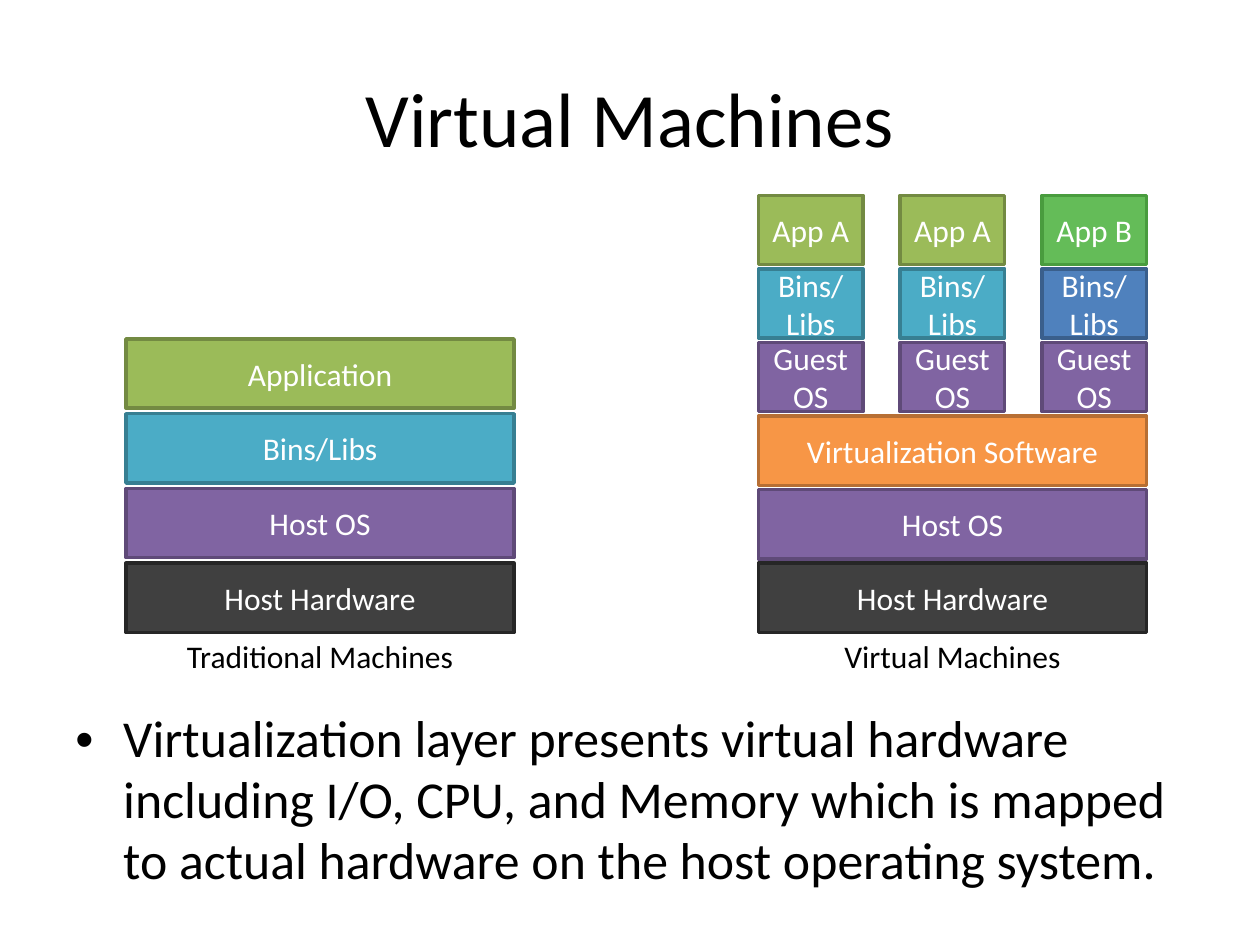
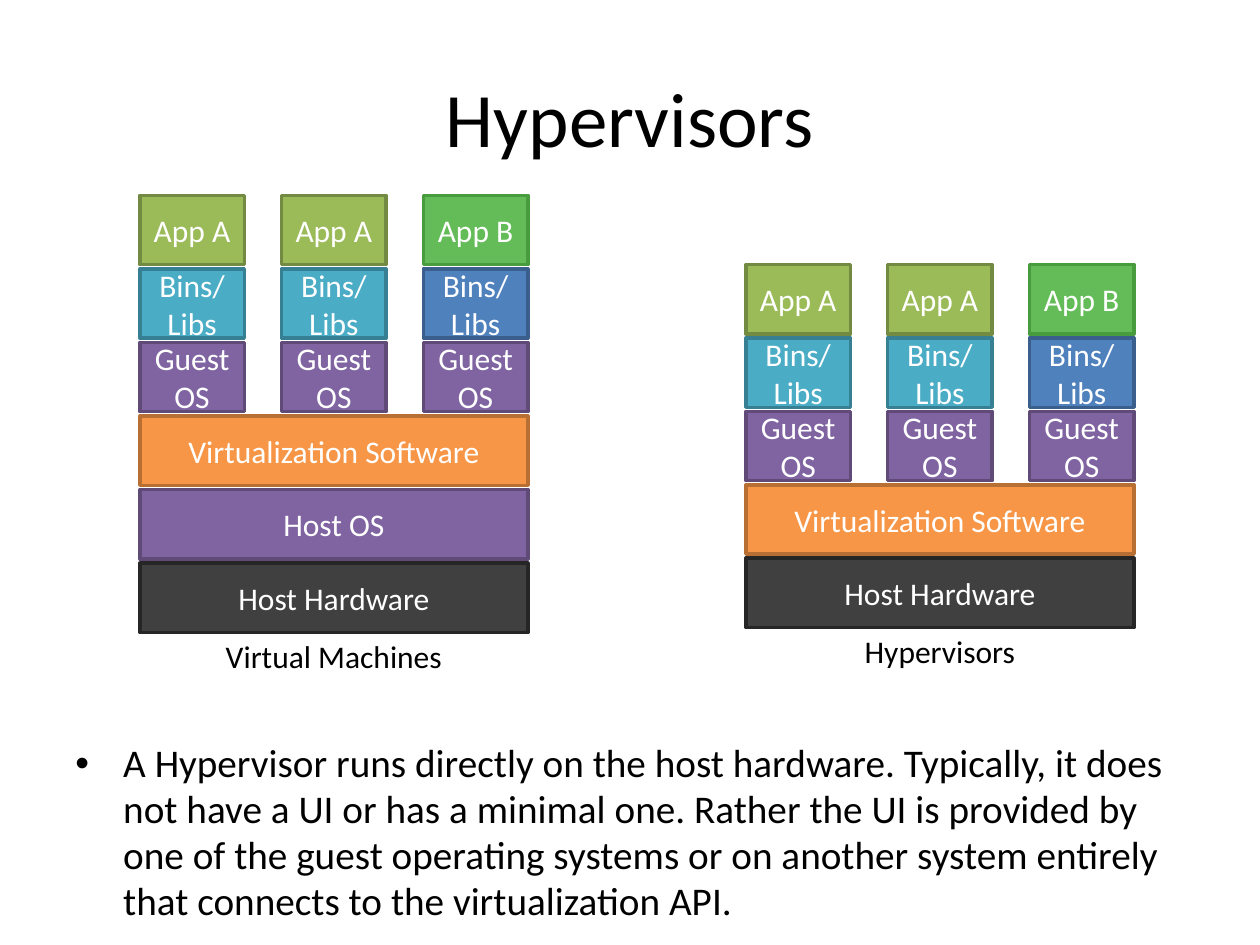
from dataclasses import dataclass

from lxml import etree
from pptx import Presentation
from pptx.dml.color import RGBColor
from pptx.enum.shapes import MSO_SHAPE
from pptx.enum.text import MSO_ANCHOR, PP_ALIGN
from pptx.oxml.ns import qn
from pptx.util import Inches, Pt

RECTANGLE = MSO_SHAPE.RECTANGLE
TOP, MIDDLE = MSO_ANCHOR.TOP, MSO_ANCHOR.MIDDLE
LEFT, CENTER = PP_ALIGN.LEFT, PP_ALIGN.CENTER

FONT = "Calibri"
BLACK, WHITE = "000000", "FFFFFF"
STACK_WIDTH, GUEST_WIDTH, BLOCK_HEIGHT = 3.08, 0.83, 0.55
BULLET_INDENT = 0.38


@dataclass(frozen=True)
class Block:
    text: str
    fill: str
    line: str


@dataclass(frozen=True)
class Stack:
    caption: str
    caption_width: float
    left: float
    top: float
    base: float  # top edge of the lowest row
    rows: tuple[tuple[Block, ...], ...]


@dataclass(frozen=True)
class Page:
    title: str
    stacks: tuple[Stack, ...]
    bullet: str
    bullet_top: float
    bullet_height: float
    bullet_size: float


# Layers of the machine diagrams
GREEN = ("9BBB59", "738A42")
TEAL = ("4BACC6", "377F92")
PURPLE = ("8064A2", "5F4A78")

HARDWARE = Block("Host Hardware", "404040", "262626")
HOST_OS = Block("Host OS", *PURPLE)
VIRTUALIZATION = Block("Virtualization Software", "F79646", "B76F34")
APPLICATION = Block("Application", *GREEN)
SHARED_LIBS = Block("Bins/Libs", *TEAL)
APP_A = Block("App A", *GREEN)
APP_B = Block("App B", "64BC58", "499C3E")
LIBS_A = Block("Bins/ Libs", *TEAL)
LIBS_B = Block("Bins/ Libs", "4F81BD", "3A5F8C")
GUEST_OS = Block("Guest OS", *PURPLE)

GUEST_ROWS = (
    (APP_A, APP_A, APP_B),
    (LIBS_A, LIBS_A, LIBS_B),
    (GUEST_OS,) * 3,
    (VIRTUALIZATION,),
)
TRADITIONAL_ROWS = ((APPLICATION,), (SHARED_LIBS,), (HOST_OS,), (HARDWARE,))
VIRTUAL_ROWS = GUEST_ROWS + ((HOST_OS,), (HARDWARE,))
HYPERVISOR_ROWS = GUEST_ROWS + ((HARDWARE,),)

PAGES = (
    Page(
        "Virtual Machines",
        (
            Stack("Traditional Machines", 2.33, 1, 2.69, 4.47, TRADITIONAL_ROWS),
            Stack("Virtual Machines", 1.96, 6.02, 1.55, 4.47, VIRTUAL_ROWS),
        ),
        "Virtualization layer presents virtual hardware including I/O, CPU, and "
        "Memory which is mapped to actual hardware on the host operating system.",
        5.58, 1.39, 29.6,
    ),
    Page(
        "Hypervisors",
        (
            Stack("Virtual Machines", 1.96, 1.11, 1.55, 4.47, VIRTUAL_ROWS),
            Stack("Hypervisors", 1.96, 5.92, 2.1, 4.43, HYPERVISOR_ROWS),
        ),
        "A Hypervisor runs directly on the host hardware. Typically, it does not "
        "have a UI or has a minimal one. Rather the UI is provided by one of the "
        "guest operating systems or on another system entirely that connects to "
        "the virtualization API.",
        5.83, 1.54, 22.4,
    ),
)


def color(value: str) -> RGBColor:
    return RGBColor.from_string(value)


def write(shape, text: str, size: float, font_color: str = BLACK,
          align=CENTER, anchor=MIDDLE, bullet: bool = False):
    """Fill a shape with one paragraph and return that paragraph."""
    frame = shape.text_frame
    frame.word_wrap = True
    frame.vertical_anchor = anchor
    paragraph = frame.paragraphs[0]
    paragraph.text = text
    paragraph.alignment = align
    if bullet:
        properties = paragraph._p.get_or_add_pPr()
        properties.set("marL", str(Inches(BULLET_INDENT)))
        properties.set("indent", str(-Inches(BULLET_INDENT)))
        etree.SubElement(properties, qn("a:buFont")).set("typeface", "Arial")
        etree.SubElement(properties, qn("a:buChar")).set("char", "•")
    paragraph.font.name = FONT
    paragraph.font.size = Pt(size)
    paragraph.font.color.rgb = color(font_color)
    return paragraph


def add_text(slide, left: float, top: float, width: float, height: float):
    return slide.shapes.add_textbox(
        Inches(left), Inches(top), Inches(width), Inches(height))


def add_block(slide, block: Block, left: float, top: float, width: float) -> None:
    shape = slide.shapes.add_shape(
        RECTANGLE, Inches(left), Inches(top), Inches(width), Inches(BLOCK_HEIGHT))
    shape.shadow.inherit = False
    shape.fill.solid()
    shape.fill.fore_color.rgb = color(block.fill)
    shape.line.color.rgb = color(block.line)
    shape.line.width = Pt(2)
    write(shape, block.text, 18, WHITE)


def add_stack(slide, stack: Stack) -> None:
    row_pitch = (stack.base - stack.top) / (len(stack.rows) - 1)
    column_pitch = (STACK_WIDTH - GUEST_WIDTH) / 2
    for row_index, row in enumerate(stack.rows):
        width = STACK_WIDTH if len(row) == 1 else GUEST_WIDTH
        for column, block in enumerate(row):
            add_block(slide, block, stack.left + column * column_pitch,
                      stack.top + row_index * row_pitch, width)

    # Caption centred below the stack
    caption_left = stack.left + (STACK_WIDTH - stack.caption_width) / 2
    caption = add_text(slide, caption_left, stack.base + 0.54,
                       stack.caption_width, 0.4)
    write(caption, stack.caption, 18, anchor=TOP)


def add_page(presentation, page: Page) -> None:
    slide = presentation.slides.add_slide(presentation.slide_layouts[6])
    write(add_text(slide, 0.5, 0.3, 9, 1.25), page.title, 44)
    for stack in page.stacks:
        add_stack(slide, stack)
    body = add_text(slide, 0.5, page.bullet_top, 9, page.bullet_height)
    paragraph = write(body, page.bullet, page.bullet_size,
                      align=LEFT, anchor=TOP, bullet=True)
    paragraph.line_spacing = 0.98


def main() -> None:
    presentation = Presentation()
    presentation.slide_width = Inches(10)
    presentation.slide_height = Inches(7.5)
    for page in PAGES:
        add_page(presentation, page)
    presentation.save("out.pptx")


if __name__ == "__main__":
    main()
